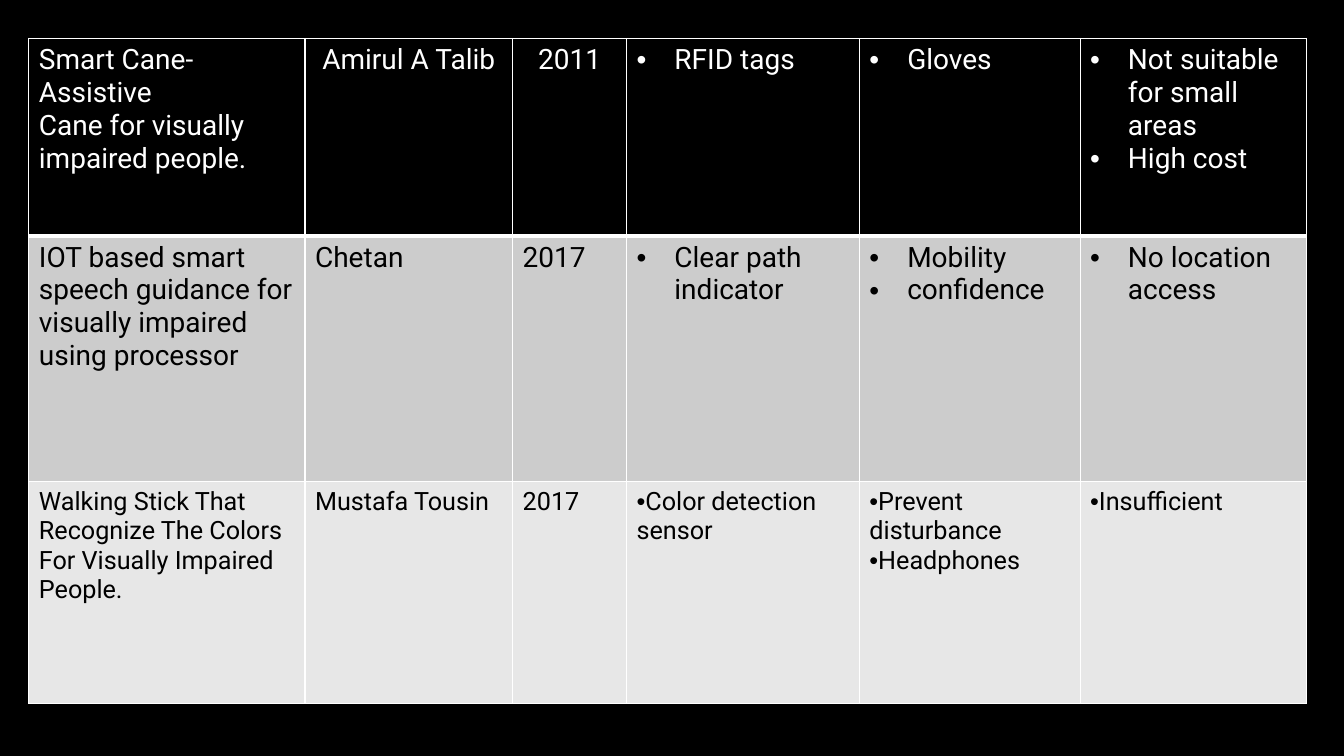
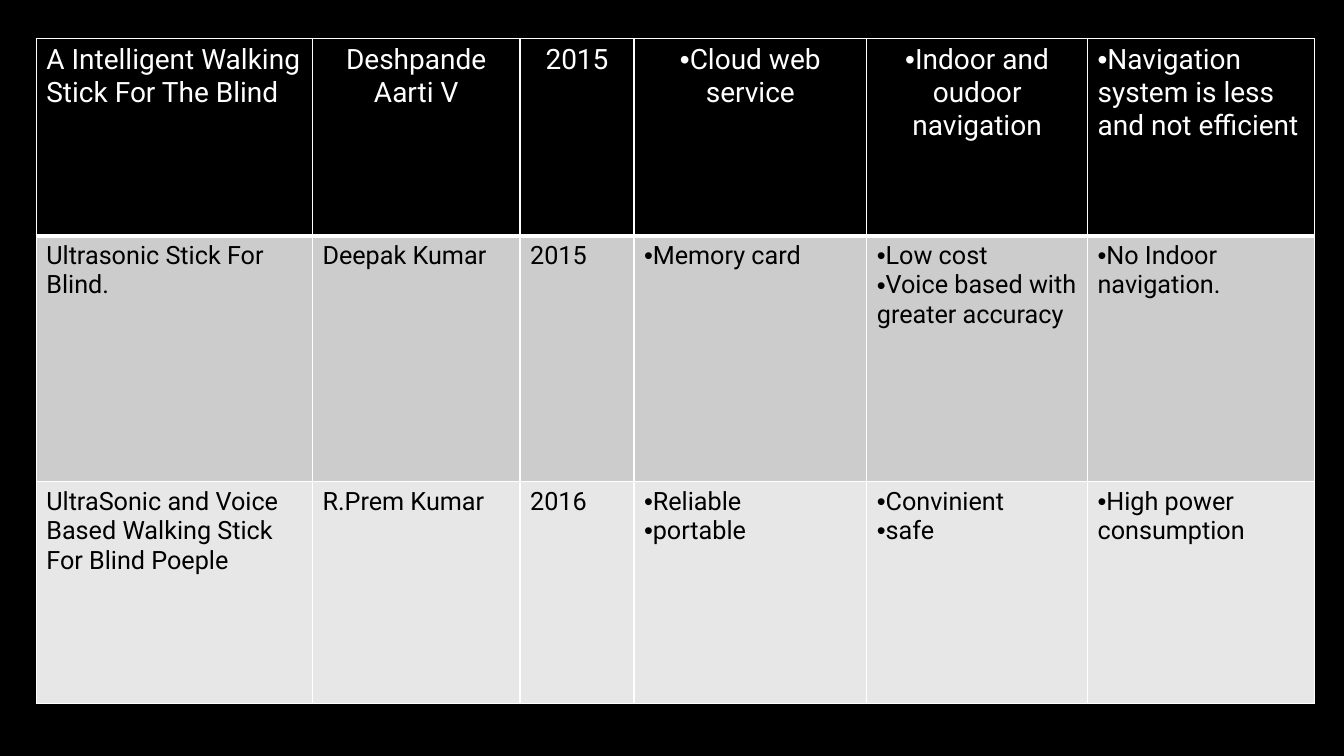
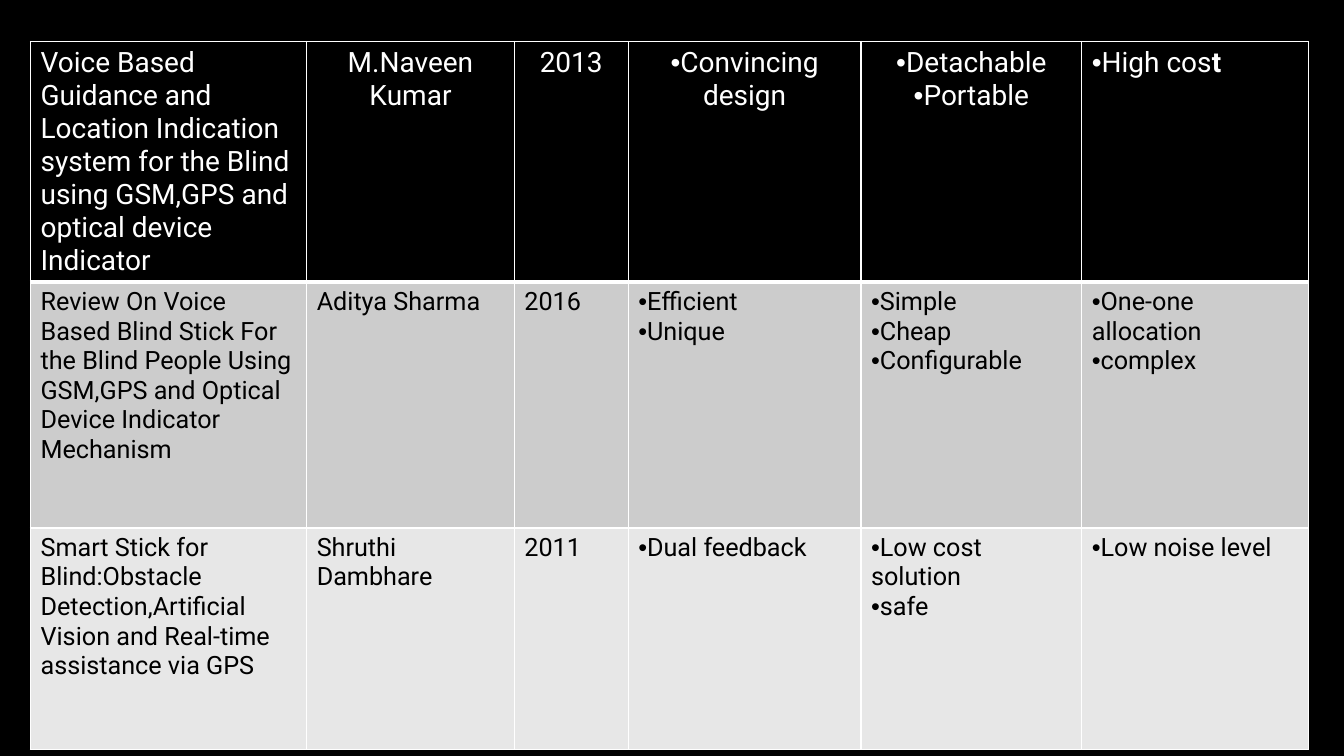
"""Build three literature survey tables on assistive canes."""
from lxml import etree
from pptx import Presentation
from pptx.dml.color import RGBColor
from pptx.enum.text import PP_ALIGN
from pptx.oxml.ns import qn
from pptx.util import Pt

LEFT, CENTER = PP_ALIGN.LEFT, PP_ALIGN.CENTER
BLANK_LAYOUT = 6
FONT = "Roboto"
COLORS = {"header": "000000", "first_study": "CCCCCC", "second_study": "E7E7E7",
          "light": "FFFFFF", "dark": "000000"}
ROW_FILLS = ("header", "first_study", "second_study")
ROW_HEIGHTS = (141.12, 175.68, 158.4)
COLUMN_WIDTHS = (197.28, 148.32, 81.36, 166.32, 157.68, 162)
HANGING = 27

SURVEYS = [
    {"left": 20.6, "top": 27.4, "height": 475.9, "sizes": (20, 20, 18), "hanging_rows": (0, 1),
     "centered": (1, 2),
     "studies": [
         ["Smart Cane-Assistive\nCane for visually impaired people.", "Amirul A Talib", "2011",
          ["RFID tags"], ["Gloves"], ["Not suitable for small areas", "High cost"]],
         ["IOT based smart speech guidance for visually impaired using processor", "Chetan", "2017",
          ["Clear path indicator"], ["Mobility", "confidence"], ["No location access"]],
         ["Walking Stick That Recognize The Colors For Visually Impaired People.",
          "Mustafa Tousin", "2017",
          ["Color detection sensor"], ["Prevent disturbance", "Headphones"], ["Insufficient"]],
     ]},
    {"left": 25.9, "top": 27.4, "height": 475.9, "sizes": (20, 18, 18), "hanging_rows": (),
     "centered": (1, 2, 3, 4),
     "studies": [
         ["A Intelligent Walking Stick For The Blind", "Deshpande Aarti V", "2015",
          ["Cloud web service"], ["Indoor and oudoor navigation"],
          ["Navigation system is less and not efficient"]],
         ["Ultrasonic Stick For Blind.", "Deepak Kumar", "2015",
          ["Memory card"], ["Low cost", "Voice based with greater accuracy"],
          ["No Indoor navigation."]],
         ["UltraSonic and Voice Based Walking Stick For Blind Poeple", "R.Prem Kumar", "2016",
          ["Reliable", "portable"], ["Convinient", "safe"], ["High power consumption"]],
     ]},
    {"left": 21.8, "top": 29.6, "height": 509.8, "sizes": (20, 18, 18), "hanging_rows": (),
     "centered": (1, 2, 3, 4),
     "studies": [
         ["Voice Based Guidance and Location Indication system for the Blind using GSM,GPS "
          "and optical device Indicator", "M.Naveen Kumar", "2013",
          ["Convincing design"], ["Detachable", "Portable"], ["High cos*t*"]],
         ["Review On Voice Based Blind Stick For the Blind People Using GSM,GPS and Optical "
          "Device Indicator Mechanism", "Aditya Sharma", "2016",
          ["Efficient", "Unique"], ["Simple", "Cheap", "Configurable"],
          ["One-one allocation", "complex"]],
         ["Smart Stick for Blind:Obstacle Detection,Artificial Vision and Real-time "
          "assistance via GPS", "Shruthi Dambhare", "2011",
          ["Dual feedback"], ["Low cost solution", "safe"], ["Low noise level"]],
     ]},
]


def rgb(name):
    """Return the named colour."""
    return RGBColor.from_string(COLORS[name])


def add_bullet(paragraph, indent):
    """Give a paragraph a round bullet with a hanging indent."""
    properties = paragraph._p.get_or_add_pPr()
    properties.set("marL", str(Pt(indent)))
    properties.set("indent", str(-Pt(indent)))
    etree.SubElement(properties, qn("a:buFont"), typeface="Arial")
    etree.SubElement(properties, qn("a:buChar"), char="•")


def write_text(frame, content, size=18, color="dark", align=LEFT, indent=0):
    """Write lines, or bullets if content is a list; asterisks enclose bold parts."""
    bulleted = isinstance(content, list)
    lines = content if bulleted else content.split("\n")
    for index, line in enumerate(lines):
        paragraph = frame.add_paragraph() if index else frame.paragraphs[0]
        paragraph.alignment = align
        if bulleted:
            add_bullet(paragraph, indent)
        for position, part in enumerate(line.split("*")):
            if part:
                run = paragraph.add_run()
                run.text = part
                run.font.name = FONT
                run.font.size = Pt(size)
                run.font.bold = position % 2 == 1
                run.font.color.rgb = rgb(color)


def add_borders(cell, **widths):
    """Draw the cell's white edges, with widths keyed by L, R, T and B."""
    properties = cell._tc.get_or_add_tcPr()
    for side, width in widths.items():
        edge = etree.SubElement(properties, qn(f"a:ln{side}"), w=str(Pt(width)))
        fill = etree.SubElement(edge, qn("a:solidFill"))
        etree.SubElement(fill, qn("a:srgbClr"), val=COLORS["light"])


def add_survey(slide, survey):
    """Add one table of studies."""
    frame = slide.shapes.add_table(len(ROW_HEIGHTS), len(COLUMN_WIDTHS), Pt(survey["left"]),
                                   Pt(survey["top"]), Pt(sum(COLUMN_WIDTHS)), Pt(survey["height"]))
    table = frame.table
    table.first_row = table.horz_banding = False
    for column, width in zip(table.columns, COLUMN_WIDTHS):
        column.width = Pt(width)
    for row_index, study in enumerate(survey["studies"]):
        table.rows[row_index].height = Pt(ROW_HEIGHTS[row_index])
        is_header = row_index == 0
        for column_index, content in enumerate(study):
            cell = table.cell(row_index, column_index)
            add_borders(cell, L=1, R=1, T=3 if row_index == 1 else 1, B=3 if is_header else 1)
            cell.fill.solid()
            cell.fill.fore_color.rgb = rgb(ROW_FILLS[row_index])
            write_text(cell.text_frame, content, size=survey["sizes"][row_index],
                       color="light" if is_header else "dark",
                       align=CENTER if is_header and column_index in survey["centered"] else LEFT,
                       indent=HANGING if row_index in survey["hanging_rows"] else 0)
    frame.height = Pt(survey["height"])


def main():
    """Build and save the presentation."""
    deck = Presentation()
    deck.slide_width, deck.slide_height = Pt(960), Pt(540)
    background = deck.slide_master.background.fill
    background.solid()
    background.fore_color.rgb = rgb("dark")
    for survey in SURVEYS:
        add_survey(deck.slides.add_slide(deck.slide_layouts[BLANK_LAYOUT]), survey)
    deck.save("out.pptx")


main()
